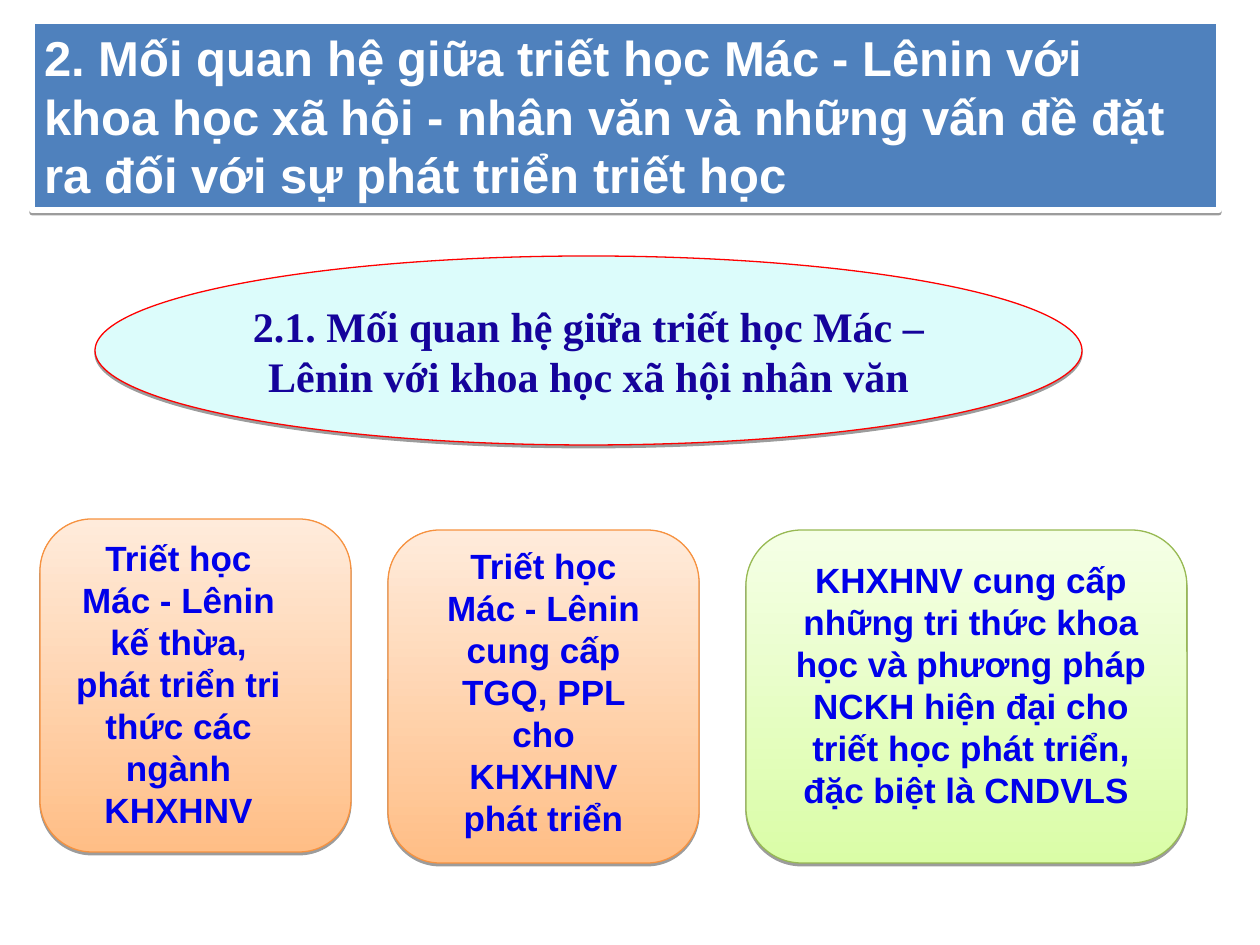
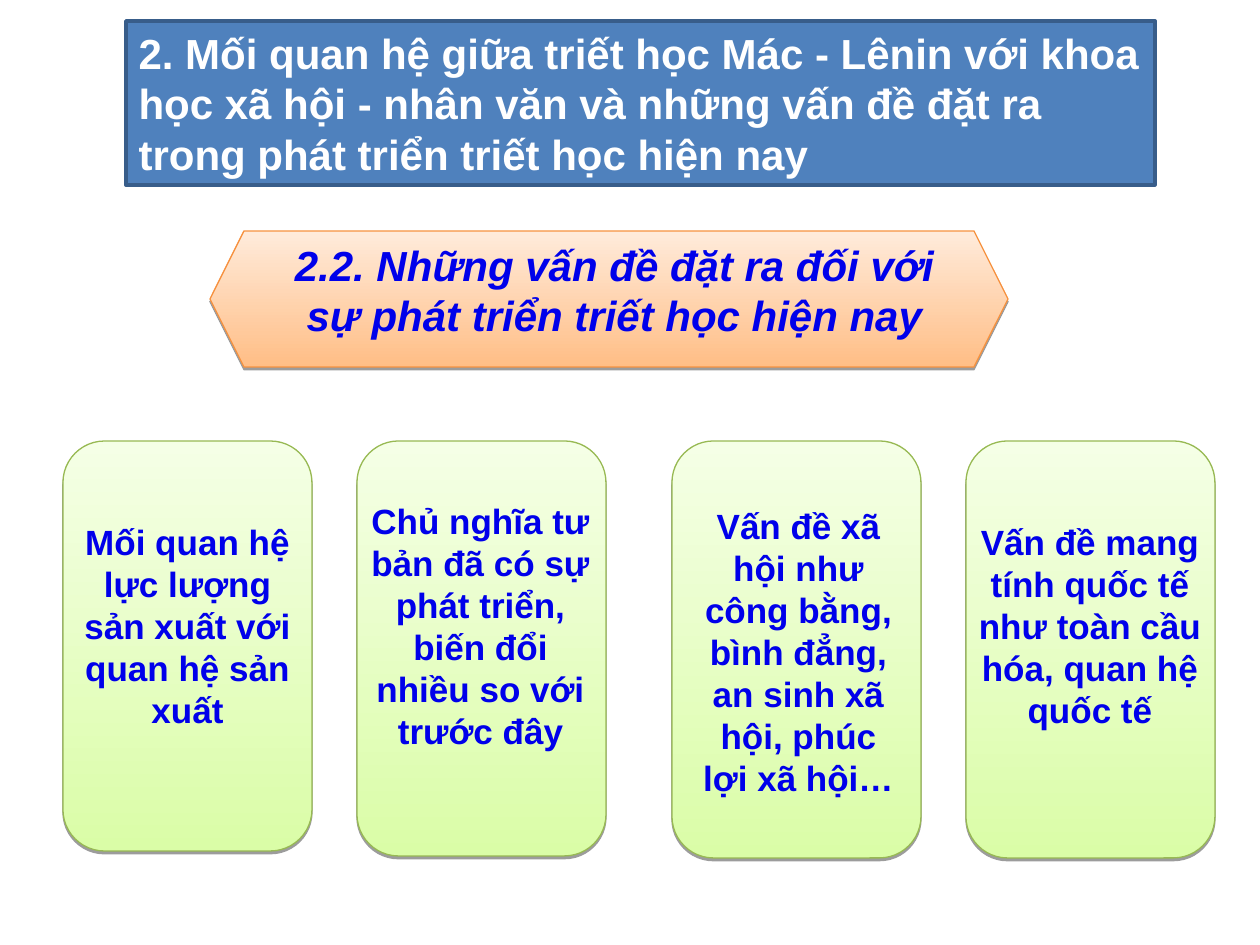
from lxml import etree
from pptx import Presentation
from pptx import util as u
from pptx.dml.color import RGBColor
from pptx.enum import shapes, text
from pptx.oxml.ns import qn

PX = 914400 / 126
WHITE, BANNER, NAVY, BLUE = "FFFFFF", "4F81BD", "15039B", "0000EA"
# Card styles: bottom colour, top colour, outline
ORANGE = ("FFBE86", "FFEBDB", "F69240")
GREEN = ("DAFDA7", "F5FFE6", "98B954")
CARD_CORNER = 0.167

# Content: boxes are left, top, width, height in px
RELATION = dict(
    title="2. Mối quan hệ giữa triết học Mác - Lênin với khoa học xã hội - nhân văn "
          "và những vấn đề đặt ra đối với sự phát triển triết học",
    title_box=(32, 21, 1187, 189), title_size=28, outline=(WHITE, 3), title_shadow=True,
    cards=[
        (ORANGE, (40, 519, 311, 333), (63, 530, 231, 307),
         "Triết học Mác - Lênin kế thừa, phát triển tri thức các ngành KHXHNV"),
        (ORANGE, (388, 530, 311, 333), (428, 538, 231, 307),
         "Triết học Mác - Lênin cung cấp TGQ, PPL cho KHXHNV phát triển"),
        (GREEN, (746, 530, 441, 333), (766, 552, 410, 265),
         "KHXHNV cung cấp những tri thức khoa học và phương pháp NCKH hiện đại "
         "cho triết học phát triển, đặc biệt là CNDVLS "),
    ])
TOPIC_RELATION = "2.1. Mối quan hệ giữa triết học Mác – Lênin với khoa học xã hội nhân văn"

ISSUES = dict(
    title="2. Mối quan hệ giữa triết học Mác - Lênin với khoa học xã hội - nhân văn "
          "và những vấn đề đặt ra trong phát triển triết học hiện nay",
    title_box=(126, 21, 1029, 164), title_size=24, outline=("385D8A", 2), title_shadow=False,
    cards=[
        (GREEN, (63, 441, 249, 410), (72, 514, 231, 223),
         "Mối quan hệ lực lượng sản xuất với quan hệ sản xuất"),
        (GREEN, (357, 441, 249, 415), (357, 493, 247, 265),
         "Chủ nghĩa tư bản đã có sự phát triển, biến đổi nhiều so với trước đây"),
        (GREEN, (672, 441, 249, 417), (683, 498, 231, 307),
         "Vấn đề xã hội như công bằng, bình đẳng, an sinh xã hội, phúc lợi xã hội…"),
        (GREEN, (966, 441, 249, 417), (964, 514, 252, 223),
         "Vấn đề mang tính quốc tế như toàn cầu hóa, quan hệ quốc tế"),
    ])
TOPIC_ISSUES = "2.2. Những vấn đề đặt ra đối với sự phát triển triết học hiện nay"


def color(value):
    return RGBColor.from_string(value)


def emu(box):
    return [round(n * PX) for n in box]


def set_outline(shape, value, width):
    shape.line.color.rgb = color(value)
    shape.line.width = u.Pt(width)


def set_shadow(shape, visible=True):
    shape.shadow.inherit = False
    if visible:
        effects = shape._element.spPr.find(qn("a:effectLst"))
        drop = etree.SubElement(effects, qn("a:outerShdw"), blurRad="0", dist="20000",
                                dir="5400000", rotWithShape="0")
        black = etree.SubElement(drop, qn("a:srgbClr"), val="000000")
        etree.SubElement(black, qn("a:alpha"), val="38000")


def write(shape, words, size, ink, font="Arial", align=text.PP_ALIGN.CENTER,
          anchor=text.MSO_ANCHOR.TOP, italic=False):
    frame = shape.text_frame
    frame.text = words
    frame.word_wrap = True
    frame.auto_size = text.MSO_AUTO_SIZE.NONE
    frame.vertical_anchor = anchor
    paragraph = frame.paragraphs[0]
    paragraph.alignment = align
    style = paragraph.font
    style.name, style.size, style.bold, style.italic = font, u.Pt(size), True, italic
    style.color.rgb = color(ink)


def add_label(slide, box, words, size, **options):
    write(slide.shapes.add_textbox(*emu(box)), words, size, BLUE, **options)


def add_panel(slide, kind, box, style, adjustment):
    bottom, top, edge = style
    panel = slide.shapes.add_shape(kind, *emu(box))
    panel.adjustments[0] = adjustment
    panel.fill.gradient()
    panel.fill.gradient_angle = 90
    for stop, value in zip(panel.fill.gradient_stops, (bottom, top)):
        stop.color.rgb = color(value)
        stop.position = 0 if value == bottom else 1
    set_outline(panel, edge, 0.75)
    set_shadow(panel)


def add_slide(prs, content):
    """Banner title and cards, shared by both slides."""
    slide = prs.slides.add_slide(prs.slide_layouts[5])
    banner = slide.shapes.title
    banner.left, banner.top, banner.width, banner.height = emu(content["title_box"])
    banner.fill.solid()
    banner.fill.fore_color.rgb = color(BANNER)
    set_outline(banner, *content["outline"])
    set_shadow(banner, content["title_shadow"])
    write(banner, content["title"], content["title_size"], WHITE, align=text.PP_ALIGN.LEFT)
    for style, card_box, words_box, words in content["cards"]:
        add_panel(slide, shapes.MSO_SHAPE.ROUNDED_RECTANGLE, card_box, style, CARD_CORNER)
        add_label(slide, words_box, words, 20)
    return slide


def main():
    prs = Presentation()
    prs.slide_width, prs.slide_height = emu((1260, 945))

    # Relation between philosophy and the social sciences
    slide = add_slide(prs, RELATION)
    topic = slide.shapes.add_shape(shapes.MSO_SHAPE.OVAL, *emu((95, 256, 987, 189)))
    topic.fill.solid()
    topic.fill.fore_color.rgb = color("DCFCFB")
    set_outline(topic, "FF0000", 0.75)
    set_shadow(topic)
    write(topic, TOPIC_RELATION, 24, NAVY, font="Times New Roman",
          anchor=text.MSO_ANCHOR.MIDDLE)

    # Issues for the growth of philosophy
    slide = add_slide(prs, ISSUES)
    add_panel(slide, shapes.MSO_SHAPE.HEXAGON, (210, 231, 798, 136), ORANGE, 0.25)
    add_label(slide, (252, 233, 725, 113), TOPIC_ISSUES, 24, italic=True)

    prs.save("out.pptx")


if __name__ == "__main__":
    main()
